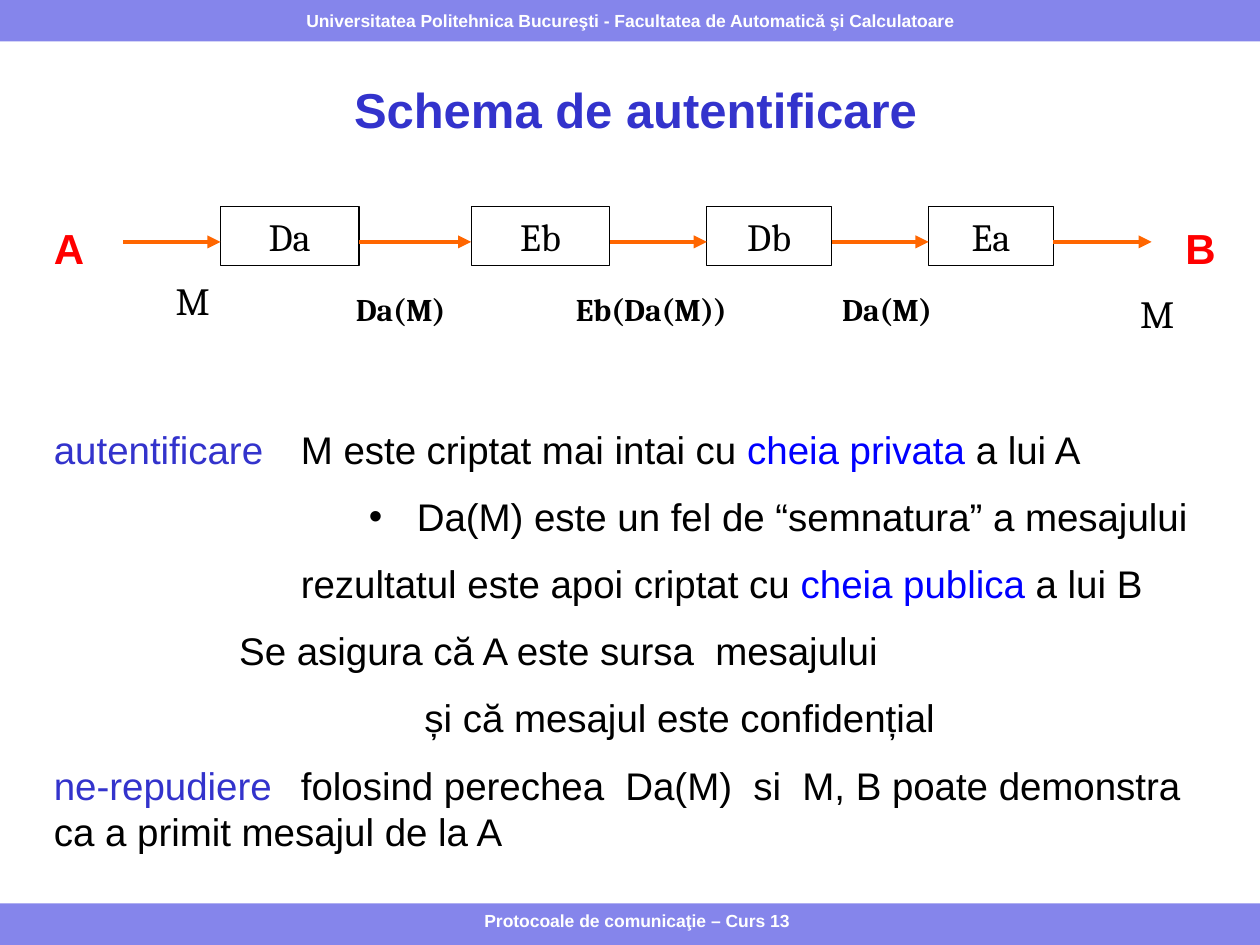
from pptx import Presentation
from pptx.dml.color import RGBColor
from pptx.enum.shapes import MSO_CONNECTOR, MSO_SHAPE
from pptx.enum.text import MSO_ANCHOR, MSO_AUTO_SIZE, PP_ALIGN
from pptx.oxml.ns import qn
from pptx.util import Inches, Pt
from lxml.etree import SubElement

COLORS = {"bar": "8585EB", "title": "3333CC", "key": "0000FF", "party": "FF0000",
          "arrow": "FF6600", "black": "000000", "white": "FFFFFF"}
HEADER = "Universitatea Politehnica Bucureşti - Facultatea de Automatică şi Calculatoare"
FOOTER = "Protocoale de comunicaţie – Curs 13"
TITLE = "Schema de autentificare"

STAGES = [("Da", 1.75, 1.1), ("Eb", 3.74, 1.1), ("Db", 5.61, 0.99), ("Ea", 7.37, 0.99)]
STAGE_TOP, STAGE_HEIGHT, ARROW_Y = 1.64, 0.47, 1.92
FLOW_START, FLOW_END = 0.98, 9.14
MESSAGES = [("M", 1.2, 2.2, 0.66, 0.38, 22, False),
            ("Da(M)", 2.52, 2.3, 1.32, 0.28, 18, True),
            ("Eb(Da(M))", 4.51, 2.3, 1.32, 0.28, 18, True),
            ("Da(M)", 6.38, 2.3, 1.32, 0.28, 18, True),
            ("M", 8.8, 2.3, 0.77, 0.28, 22, False)]
PARTIES = [("A", 0.33), ("B", 9.31)]

TAB = 0.49
NOTES = [
    (0, [("autentificare\t", "title"), ("M este criptat mai intai cu ", "black"),
         ("cheia privata ", "key"), ("a lui A", "black")]),
    ("bullet", [("Da(M) este un fel de “semnatura” a mesajului", "black")]),
    (4, [("rezultatul este apoi criptat cu ", "black"), ("cheia publica ", "key"),
         ("a lui B", "black")]),
    (3, [("Se asigura că A este sursa  mesajului", "black")]),
    (6, [("și că mesajul este confidențial", "black")]),
    (0, [("ne-repudiere\t", "title"),
         ("folosind perechea  Da(M)  si  M, B poate demonstra ca a primit mesajul de la A",
          "black")]),
]


def rgb(name):
    return RGBColor.from_string(COLORS[name])


def write(para, text, size=22, font="Arial", color="black", bold=False, align=None):
    span = para.add_run()
    span.text = text
    span.font.size = Pt(size)
    span.font.name = font
    span.font.bold = bold
    span.font.color.rgb = rgb(color)
    if align is not None:
        para.alignment = align


def add_box(slide, left, top, width, height, fill, line=None, inset=None):
    box = slide.shapes.add_shape(MSO_SHAPE.RECTANGLE, Inches(left), Inches(top),
                                 Inches(width), Inches(height))
    box.shadow.inherit = False
    box.fill.solid()
    box.fill.fore_color.rgb = rgb(fill)
    if line:
        box.line.color.rgb = rgb(line)
        box.line.width = Pt(0.75)
    else:
        box.line.fill.background()
    frame = box.text_frame
    frame.vertical_anchor = MSO_ANCHOR.TOP
    if inset is not None:
        frame.margin_left = frame.margin_right = Inches(inset)
        frame.margin_top = frame.margin_bottom = Inches(inset)
    return box


def add_text_box(slide, left, top, width, height):
    box = slide.shapes.add_textbox(Inches(left), Inches(top), Inches(width), Inches(height))
    box.text_frame.word_wrap = True
    return box.text_frame


def add_arrow(slide, start, end):
    arrow = slide.shapes.add_connector(MSO_CONNECTOR.STRAIGHT, Inches(start), Inches(ARROW_Y),
                                       Inches(end), Inches(ARROW_Y))
    arrow.line.color.rgb = rgb("arrow")
    arrow.line.width = Pt(2.5)
    SubElement(arrow.line._get_or_add_ln(), qn("a:tailEnd"), type="triangle")
    SubElement(arrow._element.spPr, qn("a:effectLst"))


def indent(para, level):
    props = para._p.get_or_add_pPr()
    if level == "bullet":
        props.set("marL", str(Inches(2.88)))
        props.set("indent", str(Inches(-0.38)))
        SubElement(props, qn("a:buFont"), typeface="Arial")
        SubElement(props, qn("a:buChar"), char="•")
    elif level:
        props.set("marL", str(Inches(level * TAB)))
        props.set("indent", "0")
    else:
        stops = SubElement(props, qn("a:tabLst"))
        SubElement(stops, qn("a:tab"), pos=str(Inches(4 * TAB)), algn="l")


def build_frame(slide):
    add_box(slide, 0, 7.17, 10, 0.33, "bar")
    header = add_box(slide, 0, 0, 10, 0.33, "bar").text_frame
    header.vertical_anchor = MSO_ANCHOR.MIDDLE
    header.word_wrap = False
    footer = add_text_box(slide, 2.58, 7.17, 4.95, 0.29)
    for frame, text in ((header, HEADER), (footer, FOOTER)):
        write(frame.paragraphs[0], text, size=10, color="white", bold=True,
              align=PP_ALIGN.CENTER)

    title = slide.shapes.title
    title.left, title.top = Inches(2.71), Inches(0.58)
    title.width, title.height = Inches(4.68), Inches(0.57)
    title.text_frame.word_wrap = False
    title.text_frame.auto_size = MSO_AUTO_SIZE.NONE
    title.text_frame.vertical_anchor = MSO_ANCHOR.MIDDLE
    write(title.text_frame.paragraphs[0], TITLE, size=28, color="title", bold=True,
          align=PP_ALIGN.LEFT)


def build_flow(slide):
    for text, left, width in STAGES:
        box = add_box(slide, left, STAGE_TOP, width, STAGE_HEIGHT, "white", line="black")
        write(box.text_frame.paragraphs[0], text, font="Cambria", align=PP_ALIGN.CENTER)
    starts = [FLOW_START] + [left + width for _, left, width in STAGES]
    ends = [left for _, left, _ in STAGES] + [FLOW_END]
    for start, end in zip(starts, ends):
        add_arrow(slide, start, end)
    for text, left, top, width, height, size, bold in MESSAGES:
        box = add_box(slide, left, top, width, height, "white", line="white", inset=0)
        write(box.text_frame.paragraphs[0], text, size=size, font="Cambria", bold=bold,
              align=PP_ALIGN.CENTER)
    for text, left in PARTIES:
        frame = add_text_box(slide, left, 1.72, 0.49, 0.5)
        write(frame.paragraphs[0], text, size=24, color="party", bold=True)


def build_notes(slide):
    frame = add_text_box(slide, 0.33, 3.33, 9.5, 3.53)
    for index, (level, spans) in enumerate(NOTES):
        para = frame.add_paragraph() if index else frame.paragraphs[0]
        para.space_before = Pt(12)
        indent(para, level)
        for text, color in spans:
            write(para, text, color=color)


def main():
    deck = Presentation()
    deck.slide_width, deck.slide_height = Inches(10), Inches(7.5)
    slide = deck.slides.add_slide(deck.slide_layouts[5])
    build_frame(slide)
    build_flow(slide)
    build_notes(slide)
    deck.save("out.pptx")


if __name__ == "__main__":
    main()
